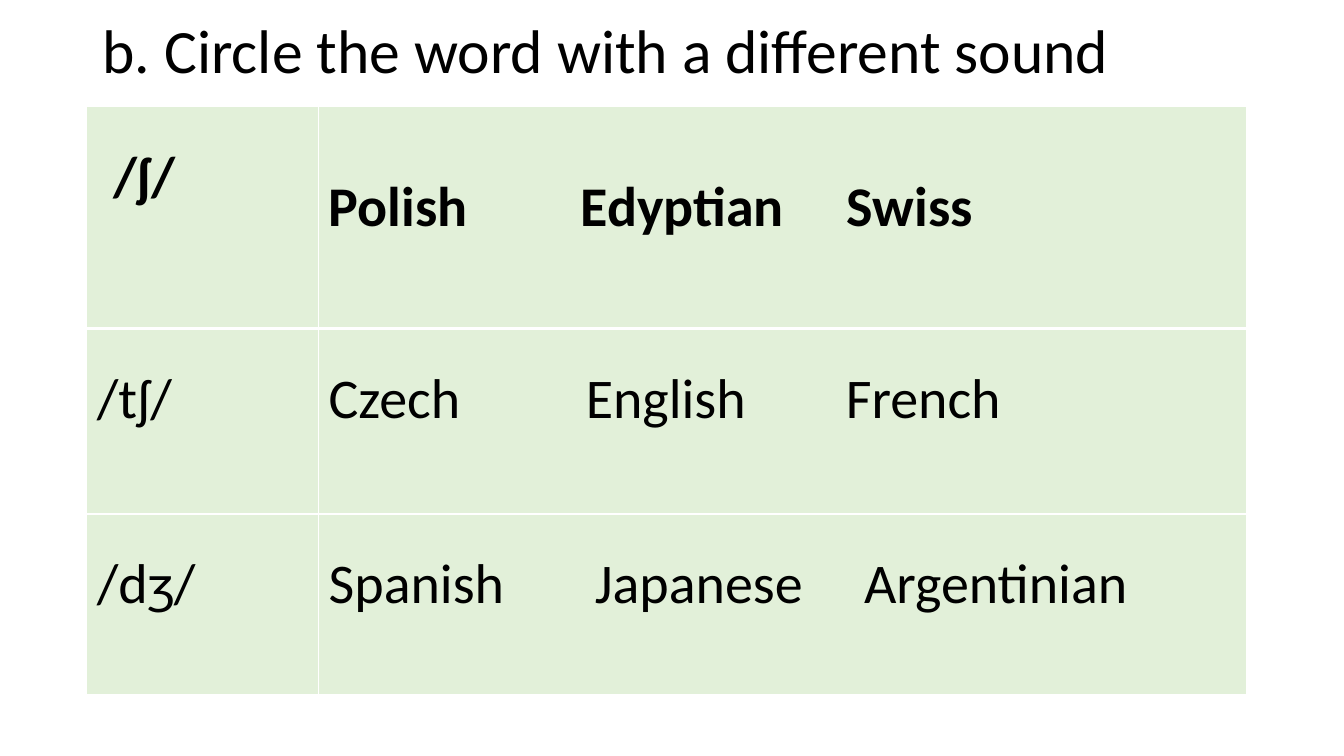
from lxml.etree import SubElement
from pptx import Presentation
from pptx.dml.color import RGBColor
from pptx.enum.text import MSO_ANCHOR
from pptx.oxml.ns import qn
from pptx.util import Inches, Pt

INK = "000000"
PALE_GREEN = "E2F0D9"
WHITE = "FFFFFF"
COLUMN_WIDTHS = (2.3, 9.2)
SOUND_ROWS = [
    {"sound": "/ʃ/", "words": ("Polish", "Edyptian", "Swiss"), "stops": (2.5, 5.14),
     "height": 2.2, "indent": 0.27, "word_top": 0.66, "bold": True},
    {"sound": "/tʃ/", "words": ("Czech", "English", "French"), "stops": (2.55, 5.13),
     "height": 1.84, "indent": 0.1, "word_top": 0.36, "bold": False},
    {"sound": "/dʒ/", "words": ("Spanish", "Japanese", "Argentinian"), "stops": (2.64, 5.31),
     "height": 1.79, "indent": 0.1, "word_top": 0.36, "bold": False},
]


def color(hex_value):
    return RGBColor.from_string(hex_value)


def set_text(paragraph, text, size, bold=False):
    paragraph.text = text
    paragraph.font.name = "Calibri"
    paragraph.font.size = Pt(size)
    paragraph.font.bold = bold
    paragraph.font.color.rgb = color(INK)


def set_tab_stops(paragraph, stops):
    tab_list = SubElement(paragraph._p.get_or_add_pPr(), qn("a:tabLst"))
    for stop in stops:
        SubElement(tab_list, qn("a:tab"), pos=str(Inches(stop)), algn="l")


def set_borders(cell, bottom_width):
    properties = cell._tc.get_or_add_tcPr()
    widths = {"a:lnL": 1, "a:lnR": 1, "a:lnT": 1, "a:lnB": bottom_width}
    for side, width in widths.items():
        line = SubElement(properties, qn(side), w=str(Pt(width)))
        fill = SubElement(line, qn("a:solidFill"))
        SubElement(fill, qn("a:srgbClr"), val=WHITE)


def fill_cell(cell, text, top, left=0.1, bold=False, stops=(), bottom_width=1):
    cell.margin_top = Inches(top)
    cell.margin_left = Inches(left)
    paragraph = cell.text_frame.paragraphs[0]
    if stops:
        set_tab_stops(paragraph, stops)
    set_text(paragraph, text, 40, bold)
    set_borders(cell, bottom_width)
    cell.fill.solid()
    cell.fill.fore_color.rgb = color(PALE_GREEN)


def add_title(slide, text):
    title = slide.shapes.add_textbox(Inches(0.92), Inches(0), Inches(11.5), Inches(1.06))
    frame = title.text_frame
    frame.word_wrap = True
    frame.vertical_anchor = MSO_ANCHOR.MIDDLE
    set_text(frame.paragraphs[0], text, 44)
    frame.paragraphs[0].line_spacing = 0.9


def add_sound_table(slide):
    table = slide.shapes.add_table(
        len(SOUND_ROWS), len(COLUMN_WIDTHS), Inches(0.86), Inches(1.06),
        Inches(sum(COLUMN_WIDTHS)), Inches(sum(row["height"] for row in SOUND_ROWS)),
    ).table
    table.first_row = False
    table.horz_banding = False
    for column, width in zip(table.columns, COLUMN_WIDTHS):
        column.width = Inches(width)
    for index, row in enumerate(SOUND_ROWS):
        table.rows[index].height = Inches(row["height"])
        bottom_width = 3 if index == 0 else 1
        fill_cell(table.cell(index, 0), row["sound"], 0.36, left=row["indent"],
                  bold=row["bold"], bottom_width=bottom_width)
        fill_cell(table.cell(index, 1), "\t".join(row["words"]), row["word_top"],
                  bold=row["bold"], stops=row["stops"], bottom_width=bottom_width)


def main():
    presentation = Presentation()
    presentation.slide_width = Inches(13.33)
    presentation.slide_height = Inches(7.5)
    slide = presentation.slides.add_slide(presentation.slide_layouts[6])
    add_title(slide, "b. Circle the word with a different sound")
    add_sound_table(slide)
    presentation.save("out.pptx")


if __name__ == "__main__":
    main()
